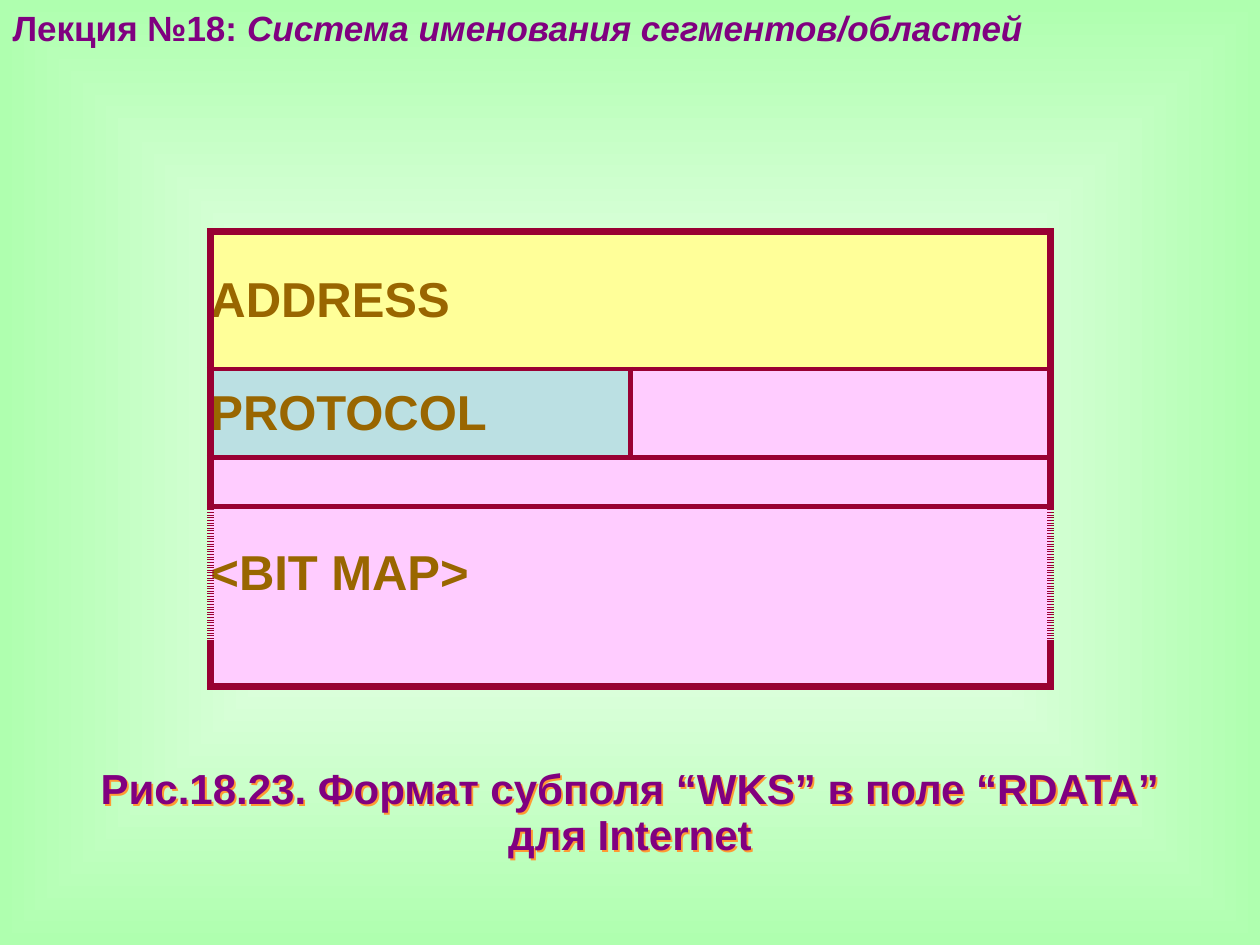
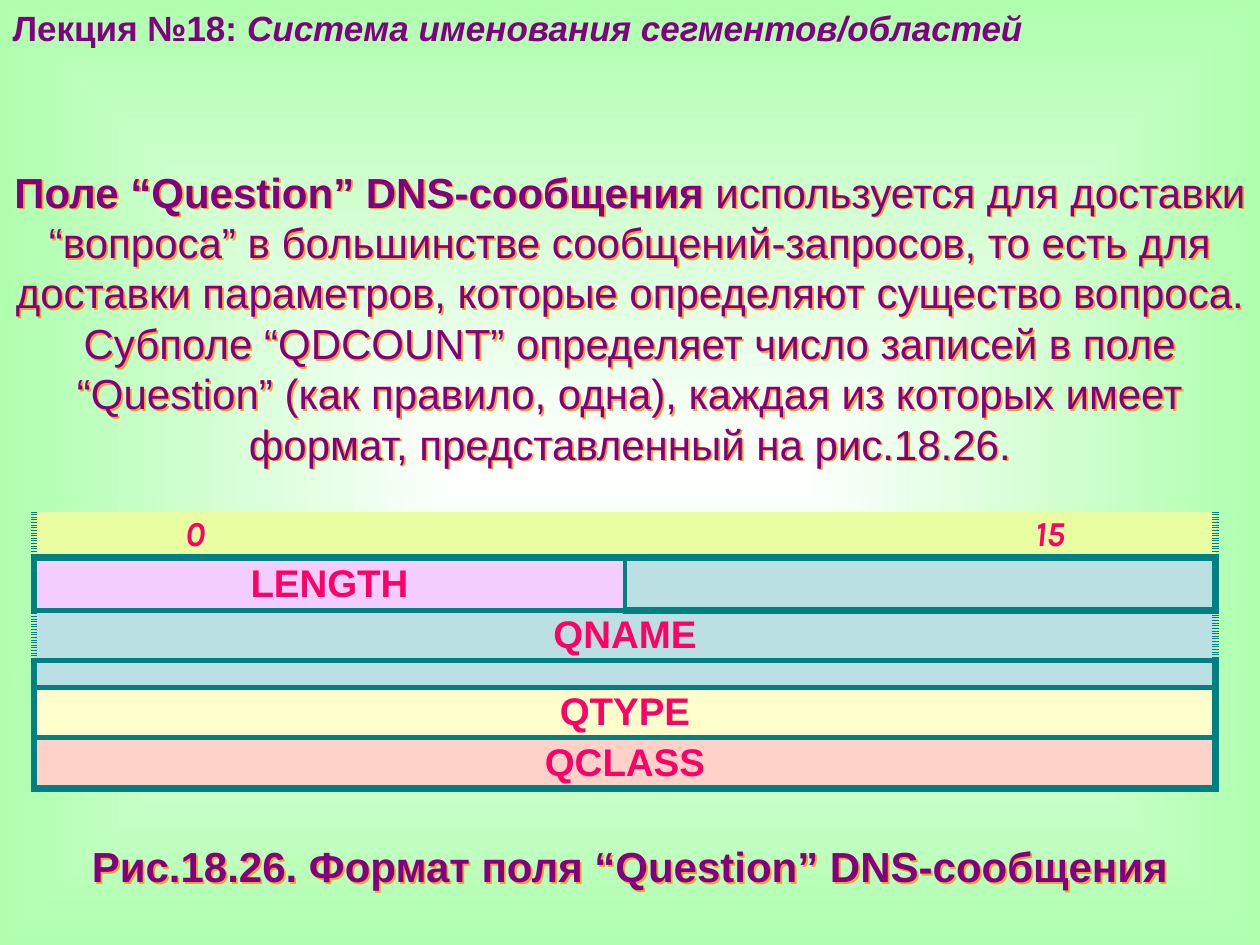
import pptx
import pptx.dml.color
import pptx.enum.text
import pptx.oxml
import pptx.oxml.ns
import pptx.util

Inches = pptx.util.Inches
Pt = pptx.util.Pt
RGBColor = pptx.dml.color.RGBColor
PP_ALIGN = pptx.enum.text.PP_ALIGN
MSO_ANCHOR = pptx.enum.text.MSO_ANCHOR
MSO_AUTO_SIZE = pptx.enum.text.MSO_AUTO_SIZE
NS = pptx.oxml.ns.nsdecls("a")
NO_STYLE = "{2D5ABB26-0587-4C30-8999-92F81FD0307C}"

WHITE = RGBColor(0xFF, 0xFF, 0xFF)
GREEN = RGBColor(0xAF, 0xFF, 0xAF)
PURPLE = RGBColor(0x80, 0x00, 0x80)
ORANGE = RGBColor(0xFF, 0x99, 0x33)
MAROON = RGBColor(0x99, 0x00, 0x33)
BROWN = RGBColor(0x99, 0x66, 0x00)
TEAL = RGBColor(0x00, 0x80, 0x80)
CRIMSON = RGBColor(0xFF, 0x00, 0x66)
YELLOW = RGBColor(0xFF, 0xFF, 0x99)
BLUE = RGBColor(0xBB, 0xE0, 0xE3)
PINK = RGBColor(0xFF, 0xCC, 0xFF)
LIME = RGBColor(0xE9, 0xFD, 0xA1)
LILAC = RGBColor(0xF4, 0xCD, 0xFF)
CREAM = RGBColor(0xFF, 0xFF, 0xCC)
PEACH = RGBColor(0xFF, 0xD2, 0xC9)


def add_run(p, text, size=24, color=PURPLE, bold=True, italic=False, font="Arial"):
    r = p.add_run()
    r.text = text
    r.font.size = Pt(size)
    r.font.color.rgb = color
    r.font.bold = bold
    r.font.italic = italic
    r.font.name = font


def add_border(cell, side, width, color, dash="solid"):
    if width:
        cell._tc.get_or_add_tcPr().append(pptx.oxml.parse_xml(
            f'<a:ln{side} {NS} w="{Pt(width)}"><a:solidFill><a:srgbClr val="{color}"/>'
            f'</a:solidFill><a:prstDash val="{dash}"/></a:ln{side}>'))


prs = pptx.Presentation()
prs.slide_width = Inches(10)
prs.slide_height = Inches(7.5)

fill = prs.slide_master.background.fill
fill.gradient()
for stop, color in zip(fill.gradient_stops, (WHITE, GREEN)):
    stop.color.rgb = color
grad = prs.slide_master.element.find(".//" + pptx.oxml.ns.qn("a:gradFill"))
grad.replace(grad.find(pptx.oxml.ns.qn("a:lin")), pptx.oxml.parse_xml(
    f'<a:path {NS} path="shape"><a:fillToRect l="50000" t="50000" r="50000" b="50000"/></a:path>'))

wks = dict(
    left=1.67, top=1.84, width=6.67, line=MAROON, top_line=4.5, inset=0,
    align=PP_ALIGN.LEFT, font=dict(size=28, color=BROWN),
    rows=[
        (1.09, "solid", [("ADDRESS", YELLOW, 3)]),
        (0.7, "solid", [("PROTOCOL", BLUE, 3), ("", PINK, 3)]),
        (0.39, "solid", [("", PINK, 0)]),
        (1.06, "sysDot", [("<BIT MAP>", PINK, 0)]),
        (0.37, "solid", [("", PINK, 4.5)]),
    ])
question = dict(
    left=0.27, top=4.06, width=9.38, line=TEAL, top_line=0, inset=0.02,
    align=PP_ALIGN.CENTER, font=dict(size=22, color=CRIMSON),
    rows=[
        (0.36, "sysDot", [("0\t15", LIME, 4.5)]),
        (0.42, "solid", [("LENGTH", LILAC, 3), ("", BLUE, 0)]),
        (0.4, "sysDot", [("QNAME", BLUE, 0)]),
        (0.21, "solid", [("", BLUE, 3)]),
        (0.4, "solid", [("QTYPE", CREAM, 3)]),
        (0.4, "solid", [("QCLASS", PEACH, 4.5)]),
    ])

intro = [[
    ("Поле “Question” DNS-сообщения", True),
    (" используется для доставки “вопроса” в большинстве сообщений-запросов, "
     "то есть для доставки параметров, которые определяют существо вопроса. "
     "Субполе “QDCOUNT” определяет число записей в поле “Question” (как правило, одна), "
     "каждая из которых имеет формат, представленный на рис.18.26.", False),
]]
wks_caption = [[("Рис.18.23. Формат субполя “WKS” в поле “RDATA”", True)],
               [("для Internet", True)]]
question_caption = [[("Рис.18.26. Формат поля “Question” DNS-сообщения", True)]]

slides = [
    (wks, [(6.1, 0.72, True, wks_caption)]),
    (question, [(1.27, 2.5, False, intro), (6.72, 0.36, True, question_caption)]),
]

for spec_table, texts in slides:
    s = prs.slides.add_slide(prs.slide_layouts[5])

    title = s.shapes.title
    title.left, title.top, title.width, title.height = 0, 0, Inches(10), Inches(0.43)
    tf = title.text_frame
    tf.auto_size = MSO_AUTO_SIZE.NONE
    tf.vertical_anchor = MSO_ANCHOR.TOP
    p = tf.paragraphs[0]
    p.alignment = PP_ALIGN.LEFT
    add_run(p, "Лекция №18: ", size=20)
    add_run(p, "Система именования сегментов/областей", size=20, italic=True)

    rows = spec_table["rows"]
    height = sum(row[0] for row in rows)
    tbl = s.shapes.add_table(
        len(rows), 2, Inches(spec_table["left"]), Inches(spec_table["top"]),
        Inches(spec_table["width"]), Inches(height)).table
    tbl.first_row = tbl.horz_banding = False
    tbl._tbl.tblPr.find(pptx.oxml.ns.qn("a:tableStyleId")).text = NO_STYLE
    line = spec_table["line"]
    tops = [spec_table["top_line"]] * 2
    for i, (row_height, dash, cells) in enumerate(rows):
        tbl.rows[i].height = Inches(row_height)
        split = len(cells) == 2
        if not split:
            tbl.cell(i, 0).merge(tbl.cell(i, 1))
            cells = [cells[0], ("", *cells[0][1:])]
        for j, (text, color, bottom) in enumerate(cells):
            cell = tbl.cell(i, j)
            inner = 3 if split else 0
            edges = (4.5, inner) if j == 0 else (inner, 4.5)
            if not split and j == 0:
                edges = (4.5, 4.5)
            add_border(cell, "L", edges[0], line, dash if j == 0 else "solid")
            add_border(cell, "R", edges[1], line, "solid" if split and j == 0 else dash)
            add_border(cell, "T", tops[j], line)
            add_border(cell, "B", bottom, line)
            tops[j] = bottom
            cell.fill.solid()
            cell.fill.fore_color.rgb = color
            cell.vertical_anchor = MSO_ANCHOR.MIDDLE
            inset = Inches(spec_table["inset"])
            cell.margin_left = cell.margin_right = inset
            cell.margin_top = cell.margin_bottom = inset
            p = cell.text_frame.paragraphs[0]
            p.alignment = spec_table["align"]
            if "\t" in text:
                cell.margin_left = Inches(1.2)
                p.alignment = PP_ALIGN.LEFT
                p._p.get_or_add_pPr().append(pptx.oxml.parse_xml(
                    f'<a:tabLst {NS}><a:tab pos="{Inches(6.98)}" algn="r"/></a:tabLst>'))
                add_run(p, text, size=20, color=CRIMSON, italic=True, font="Karla")
            elif text:
                add_run(p, text, **spec_table["font"])
            else:
                p._p.append(pptx.oxml.parse_xml(f'<a:endParaRPr {NS} sz="800"/>'))

    for top, box_height, is_caption, paragraphs in texts:
        sp = s.shapes.add_textbox(0, Inches(top), Inches(10), Inches(box_height))
        sp._element.spPr.append(pptx.oxml.parse_xml(
            f'<a:effectLst {NS}><a:outerShdw dist="{Inches(0.02)}" dir="2700000">'
            f'<a:srgbClr val="{ORANGE}"/></a:outerShdw></a:effectLst>'))
        tf = sp.text_frame
        tf.word_wrap = True
        tf.auto_size = MSO_AUTO_SIZE.SHAPE_TO_FIT_TEXT
        if is_caption:
            tf.vertical_anchor = MSO_ANCHOR.MIDDLE
            tf.margin_left = tf.margin_right = tf.margin_top = tf.margin_bottom = 0
        for n, runs in enumerate(paragraphs):
            p = tf.add_paragraph() if n else tf.paragraphs[0]
            p.alignment = PP_ALIGN.CENTER
            if is_caption:
                p.line_spacing = 0.9
            for text, bold in runs:
                add_run(p, text, bold=bold)

prs.save("out.pptx")
